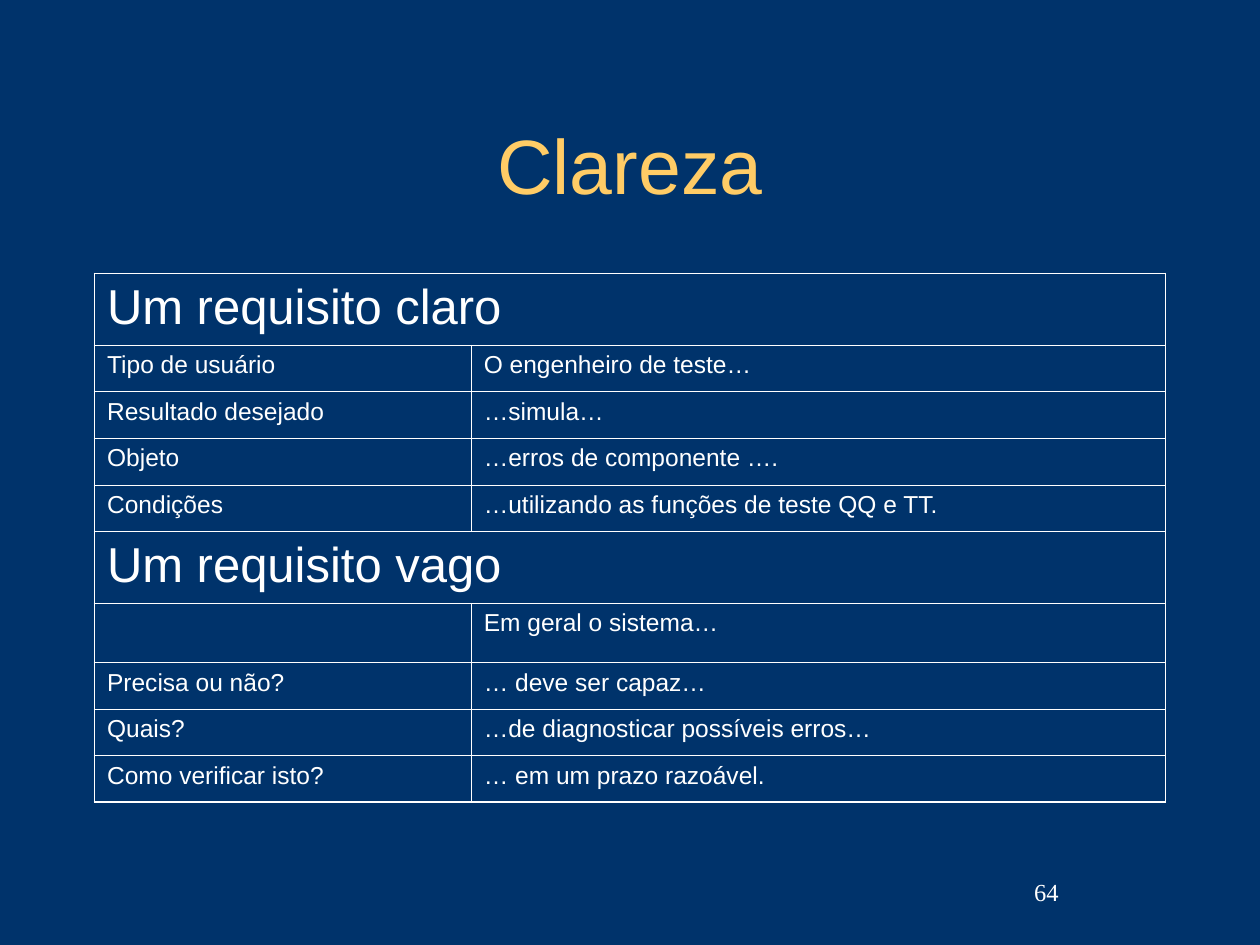
from dataclasses import dataclass

from lxml import etree
from pptx import Presentation
from pptx import util as u
from pptx.dml import color
from pptx.enum import text
from pptx.oxml import ns


@dataclass(frozen=True)
class Theme:
    """Colours, fonts, type sizes and rule widths of the deck."""
    background: str = "00336B"
    accent: str = "FFCC66"
    ink: str = "FFFFFF"
    sans: str = "Arial"
    serif: str = "Times New Roman"
    title: int = 44
    heading: int = 28
    body: int = 14
    outer: float = 1.08
    inner: float = 0.45


class Deck:
    """Holds the theme and the current slide and draws each kind of element."""

    def __init__(self, theme):
        self.theme = theme
        self.show = Presentation()
        self.show.slide_width, self.show.slide_height = u.Inches(10), u.Inches(7.5)

    def new_slide(self):
        """Add a blank slide with the theme background."""
        self.slide = self.show.slides.add_slide(self.show.slide_layouts[6])
        fill = self.slide.background.fill
        fill.solid()
        fill.fore_color.rgb = color.RGBColor.from_string(self.theme.background)

    def add_words(self, paragraph, words, size, font, ink, align=text.PP_ALIGN.LEFT):
        """Put one styled run into a paragraph."""
        paragraph.alignment = align
        run = paragraph.add_run()
        run.text = words
        for key, value in {"size": u.Pt(size), "name": font, "bold": False}.items():
            setattr(run.font, key, value)
        run.font.color.rgb = color.RGBColor.from_string(ink)

    def label(self, words, place, **style):
        """Add a text box with middle-anchored text."""
        frame = self.slide.shapes.add_textbox(*map(u.Inches, place)).text_frame
        layout = {"word_wrap": True, "vertical_anchor": text.MSO_ANCHOR.MIDDLE}
        for key, value in layout.items():
            setattr(frame, key, value)
        self.add_words(frame.paragraphs[0], words, **style)

    def rule_cell(self, cell, outer_sides):
        """Draw the four borders of a cell, heavier on the outer sides."""
        cell.fill.background()
        properties = cell._tc.get_or_add_tcPr()
        for index, side in enumerate("LRTB"):
            width = self.theme.outer if side in outer_sides else self.theme.inner
            line = etree.Element(ns.qn(f"a:ln{side}"), w=str(int(u.Pt(width))))
            fill = etree.SubElement(line, ns.qn("a:solidFill"))
            etree.SubElement(fill, ns.qn("a:srgbClr"), val=self.theme.ink)
            properties.insert(index, line)

    def table(self, rows, left, top, widths, heights):
        """Add a ruled table where a one-item row is a heading across all columns."""
        place = map(u.Inches, (left, top, sum(widths), sum(heights)))
        grid = self.slide.shapes.add_table(len(rows), len(widths), *place).table
        for flag in ("first_row", "horz_banding"):
            setattr(grid, flag, False)
        for column, width in zip(grid.columns, widths):
            column.width = u.Inches(width)
        for r, entries in enumerate(rows):
            grid.rows[r].height = u.Inches(heights[r])
            is_heading = len(entries) == 1
            size = self.theme.heading if is_heading else self.theme.body
            if is_heading:
                grid.cell(r, 0).merge(grid.cell(r, len(widths) - 1))
            for c in range(len(widths)):
                edges = {"L": c == 0 or is_heading, "T": r == 0,
                         "R": c == len(widths) - 1 or is_heading,
                         "B": r == len(rows) - 1}
                self.rule_cell(grid.cell(r, c), [s for s, on in edges.items() if on])
            for c, words in enumerate(entries):
                if words:
                    paragraph = grid.cell(r, c).text_frame.paragraphs[0]
                    self.add_words(paragraph, words, size, self.theme.sans, self.theme.ink)


def main():
    theme = Theme()
    deck = Deck(theme)
    deck.new_slide()
    deck.label("Clareza", (0.75, 0.67, 8.5, 1.25), size=theme.title,
               font=theme.sans, ink=theme.accent, align=text.PP_ALIGN.CENTER)
    requirements = [
        ("Um requisito claro",),
        ("Tipo de usuário", "O engenheiro de teste…"),
        ("Resultado desejado", "…simula…"),
        ("Objeto", "…erros de componente …."),
        ("Condições", "…utilizando as funções de teste QQ e TT."),
        ("Um requisito vago",),
        ("", "Em geral o sistema…"),
        ("Precisa ou não?", "… deve ser capaz…"),
        ("Quais?", "…de diagnosticar possíveis erros…"),
        ("Como verificar isto?", "… em um prazo razoável."),
    ]
    heights = [0.57 if len(row) == 1 else 0.37 if row[0] else 0.47
               for row in requirements]
    deck.table(requirements, 0.75, 2.17, (2.99, 5.51), heights)
    deck.label("64", (6.42, 6.83, 2.08, 0.5), size=theme.body,
               font=theme.serif, ink=theme.ink, align=text.PP_ALIGN.RIGHT)
    deck.show.save("out.pptx")


if __name__ == "__main__":
    main()
